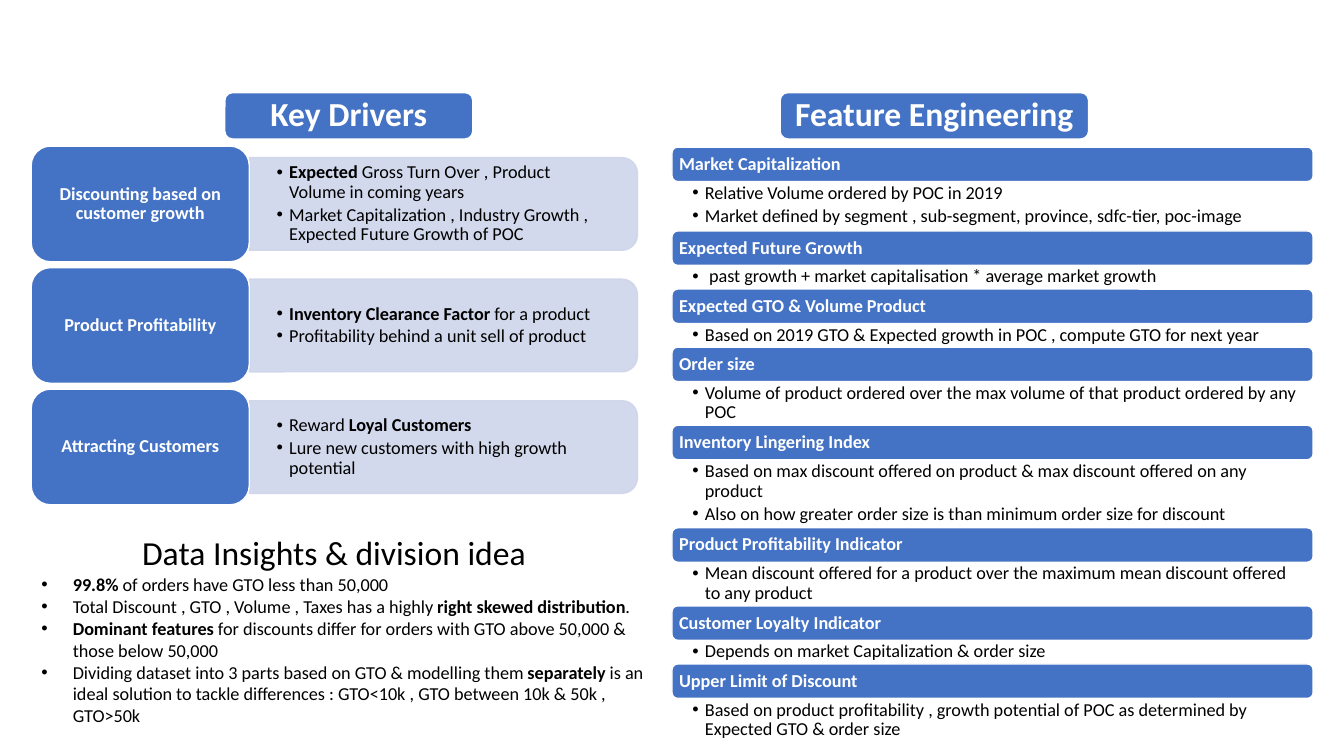
import pptx
import pptx.util
import pptx.dml.color
import pptx.enum.shapes
import pptx.enum.text
from lxml import etree
from pptx.oxml.ns import qn

Pt = pptx.util.Pt
SHAPE = pptx.enum.shapes.MSO_SHAPE
ALIGN = pptx.enum.text.PP_ALIGN
ANCHOR = pptx.enum.text.MSO_ANCHOR

# Content: **...** marks bold words
HEADINGS = [("Key Drivers", 160.6, 177.1), ("Feature Engineering", 557.3, 220.3)]
DRIVERS = [
    ("Discounting based on customer growth",
     ["**Expected** Gross Turn Over , Product Volume in coming years",
      "Market Capitalization , Industry Growth , Expected Future Growth of POC"]),
    ("Product Profitability",
     ["**Inventory Clearance Factor **for a product",
      "Profitability behind a unit sell of product"]),
    ("Attracting Customers",
     ["Reward **Loyal Customers**",
      "Lure new customers with high growth potential"]),
]
# Feature name, height of its notes, notes
FEATURES = [
    ("Market Capitalization", 35.3,
     ["Relative Volume ordered by POC in 2019",
      "Market defined by segment , sub-segment, province, sdfc-tier, poc-image"]),
    ("Expected Future Growth", 16.9,
     [" past growth + market capitalisation * average market growth"]),
    ("Expected GTO & Volume Product", 16.9,
     ["Based on 2019 GTO & Expected growth in POC , compute GTO for next year"]),
    ("Order size", 31.2,
     ["Volume of product ordered over the max volume of that product ordered by any POC"]),
    ("Inventory Lingering Index", 48.6,
     ["Based on max discount offered on product & max discount offered on any product",
      "Also on how greater order size is than minimum order size for discount"]),
    ("Product Profitability Indicator", 31.2,
     ["Mean discount offered for a product over the maximum mean discount offered to any product"]),
    ("Customer Loyalty Indicator", 16.9,
     ["Depends on market Capitalization & order size"]),
    ("Upper Limit of Discount", 31.2,
     ["Based on product profitability , growth potential of POC as determined by "
      "Expected GTO & order size"]),
]
INSIGHTS_TITLE = "Data Insights & division idea"
INSIGHTS = [
    "**99.8%** of orders have GTO less than 50,000",
    "Total Discount , GTO , Volume , Taxes has a highly **right skewed distribution**.",
    "**Dominant features **for discounts differ for orders with GTO above 50,000 & those below 50,000",
    "Dividing dataset into 3 parts based on GTO & modelling them **separately** is an ideal "
    "solution to tackle differences : GTO<10k , GTO between 10k & 50k , GTO>50k",
]

COLORS = {"accent": "4472C4", "panel": "CFD5EA", "white": "FFFFFF", "black": "000000"}
FONT = "Calibri"
BODY_SIZE, HEADING_SIZE = 13, 24
HEADING_TOP, HEADING_HEIGHT = 66.2, 33.1
CARD_LEFT, CARD_TOP, CARD_WIDTH, CARD_HEIGHT, CARD_PITCH = 22.3, 104.4, 155.8, 82.6, 86.8
PANEL_WIDTH, PANEL_HEIGHT, PANEL_TEXT_WIDTH = 277.2, 66.2, 273.6
FEATURE_LEFT, FEATURE_TOP, FEATURE_WIDTH, BAR_HEIGHT = 480, 105.1, 458, 24.6


def rgb(name):
    return pptx.dml.color.RGBColor.from_string(COLORS[name])


def set_font(paragraph, size, color, bold=None):
    paragraph.font.name = FONT
    paragraph.font.size = Pt(size)
    paragraph.font.color.rgb = rgb(color)
    paragraph.font.bold = bold


def set_frame(frame, insets, anchor):
    frame.word_wrap = True
    frame.auto_size = pptx.enum.text.MSO_AUTO_SIZE.NONE
    frame.vertical_anchor = anchor
    left, top, right, bottom = insets
    frame.margin_left, frame.margin_top = Pt(left), Pt(top)
    frame.margin_right, frame.margin_bottom = Pt(right), Pt(bottom)


def add_block(slide, kind, box, fill, line):
    block = slide.shapes.add_shape(kind, *map(Pt, box))
    block.shadow.inherit = False
    block.fill.solid()
    block.fill.fore_color.rgb = rgb(fill)
    block.line.color.rgb = rgb(line)
    block.line.width = Pt(1)
    return block


def add_label(slide, text, box, size, align, insets):
    """Add a blue rounded block with bold white text."""
    block = add_block(slide, SHAPE.ROUNDED_RECTANGLE, box, "accent", "white")
    set_frame(block.text_frame, insets, ANCHOR.MIDDLE)
    label = block.text_frame.paragraphs[0]
    label.text = text
    label.alignment = align
    label.line_spacing = 0.9
    set_font(label, size, "white", True)


def write_bullets(frame, items, indent, line_spacing, space_after):
    for number, item in enumerate(items):
        bullet = frame.add_paragraph() if number else frame.paragraphs[0]
        bullet.alignment = ALIGN.LEFT
        bullet.line_spacing = line_spacing
        bullet.space_before = Pt(0)
        bullet.space_after = Pt(space_after)
        properties = bullet._p.get_or_add_pPr()
        properties.set("marL", str(Pt(indent)))
        properties.set("indent", str(-Pt(indent)))
        etree.SubElement(properties, qn("a:buFont"), typeface="Arial")
        etree.SubElement(properties, qn("a:buChar"), char="•")
        set_font(bullet, BODY_SIZE, "black")
        for part, words in enumerate(item.split("**")):
            if words:
                run = bullet.add_run()
                run.text = words
                if part % 2:
                    run.font.bold = True


def add_notes(slide, items, box, insets, anchor, space_after):
    notes = slide.shapes.add_textbox(*map(Pt, box)).text_frame
    set_frame(notes, insets, anchor)
    write_bullets(notes, items, 9, 0.9, space_after)


def add_driver(slide, name, points, top):
    middle = top + CARD_HEIGHT / 2
    panel_left = CARD_LEFT + CARD_WIDTH
    # The panel is a tall shape turned a quarter, so its box is stated before turning
    panel = add_block(slide, SHAPE.ROUND_2_SAME_RECTANGLE,
                      (panel_left + (PANEL_WIDTH - PANEL_HEIGHT) / 2, middle - PANEL_WIDTH / 2,
                       PANEL_HEIGHT, PANEL_WIDTH), "panel", "panel")
    panel.rotation = 90
    for color in panel._element.spPr.iter(qn("a:srgbClr")):
        etree.SubElement(color, qn("a:alpha"), val="90000")
    add_notes(slide, points, (panel_left, middle - 30, PANEL_TEXT_WIDTH, 60),
              (19.5, 9.75, 19.5, 9.75), ANCHOR.MIDDLE, 2)
    add_label(slide, name, (CARD_LEFT, top, CARD_WIDTH, CARD_HEIGHT),
              BODY_SIZE, ALIGN.CENTER, (3.9, 2, 3.9, 2))


def add_insights(slide):
    title = slide.shapes.title
    title.left, title.top, title.width, title.height = map(Pt, (94.3, 376.6, 340, 34))
    set_frame(title.text_frame, (7.2, 3.6, 7.2, 0), ANCHOR.TOP)
    heading = title.text_frame.paragraphs[0]
    heading.text = INSIGHTS_TITLE
    heading.alignment = ALIGN.LEFT
    set_font(heading, HEADING_SIZE, "black")

    body = slide.placeholders[1]
    body.left, body.top, body.width, body.height = map(Pt, (22.3, 406, 451.4, 133))
    set_frame(body.text_frame, (7.2, 3.6, 7.2, 3.6), ANCHOR.TOP)
    write_bullets(body.text_frame, INSIGHTS, 22.5, 1.0, 0)


def main():
    deck = pptx.Presentation()
    deck.slide_width, deck.slide_height = Pt(960), Pt(540)
    slide = deck.slides.add_slide(deck.slide_layouts[1])
    add_insights(slide)

    for heading, left, width in HEADINGS:
        add_label(slide, heading, (left, HEADING_TOP, width, HEADING_HEIGHT),
                  HEADING_SIZE, ALIGN.CENTER, (3.6, 3.6, 3.6, 3.6))
    for row, (driver, points) in enumerate(DRIVERS):
        add_driver(slide, driver, points, CARD_TOP + row * CARD_PITCH)

    top = FEATURE_TOP
    for feature, notes_height, notes in FEATURES:
        add_label(slide, feature, (FEATURE_LEFT, top, FEATURE_WIDTH, BAR_HEIGHT),
                  BODY_SIZE, ALIGN.LEFT, (3.9, 3.9, 3.9, 3.9))
        top += BAR_HEIGHT
        add_notes(slide, notes, (FEATURE_LEFT, top, FEATURE_WIDTH, notes_height),
                  (14.5, 1.3, 7.2, 1.3), ANCHOR.TOP, 2.6)
        top += notes_height

    deck.save("out.pptx")


if __name__ == "__main__":
    main()
